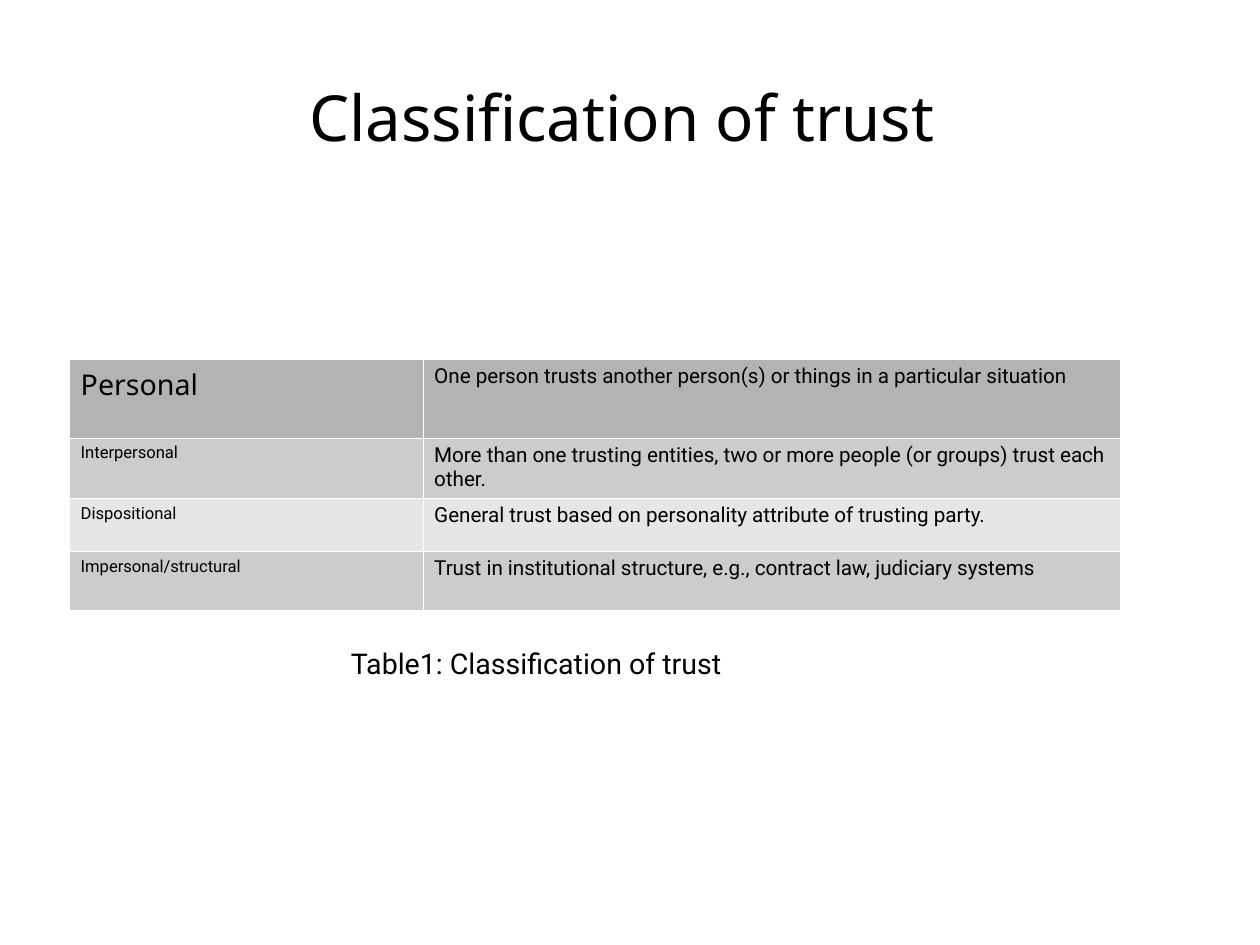
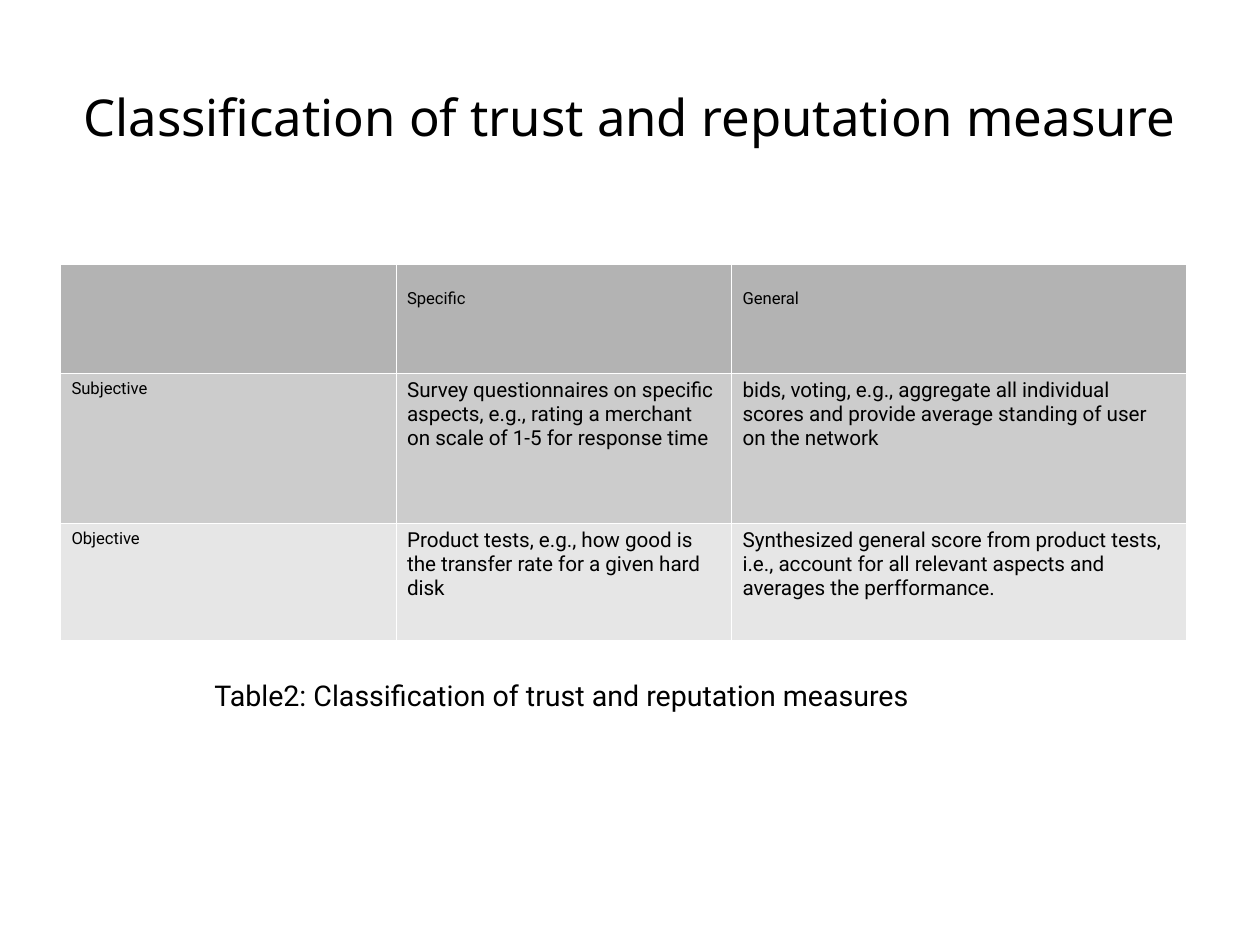
from dataclasses import dataclass

from lxml import etree
from pptx import Presentation
from pptx import util as u
from pptx.dml.color import RGBColor
from pptx.enum import text
from pptx.oxml import ns

BLACK = RGBColor(0x00, 0x00, 0x00)
WHITE = RGBColor(0xFF, 0xFF, 0xFF)
HEAD = RGBColor(0xB3, 0xB3, 0xB3)
BANDS = (RGBColor(0xCC, 0xCC, 0xCC), RGBColor(0xE6, 0xE6, 0xE6))
WIDTH = u.Cm(28)
HEIGHT = u.Cm(21)
BORDER = u.Pt(0.06)
PAD_X, PAD_Y, HEADING_PAD = u.Inches(0.1), u.Inches(0.05), u.Inches(0.22)
TITLE_ONLY = 5


@dataclass(frozen=True)
class Style:
    font: str
    size: float
    pad_top: int = PAD_Y


LEAD = Style("Noto Sans", 18)
LABEL = Style("Roboto", 10.5)
HEADING = Style("Roboto", 10.5, HEADING_PAD)
BODY = Style("Roboto", 13)
CAPTION = Style("Roboto", 18)


@dataclass(frozen=True)
class Box:
    left: float
    top: float
    width: float
    height: float

    def emu(self) -> tuple[int, int, int, int]:
        return across(self.left), down(self.top), across(self.width), down(self.height)


@dataclass(frozen=True)
class Row:
    height: float
    styles: tuple[Style, ...]
    texts: tuple[str, ...]


@dataclass(frozen=True)
class TableSlide:
    title: str
    title_size: float
    left: float
    top: float
    columns: tuple[float, ...]
    rows: tuple[Row, ...]
    caption: str
    caption_box: Box


TITLE_BOX = Box(5, 3.94, 90, 16.67)

SLIDES = (
    TableSlide(
        "Classification of trust ", 40, 5.5, 37.97, (28.06, 55.33),
        (
            Row(8.34, (LEAD, BODY), (
                "Personal",
                "One person trusts another person(s) or things in a particular situation")),
            Row(6.41, (LABEL, BODY), (
                "Interpersonal",
                "More than one trusting entities, two or more people (or groups) trust each other.")),
            Row(5.6, (LABEL, BODY), (
                "Dispositional",
                "General trust based on personality attribute of trusting party.")),
            Row(6.29, (LABEL, BODY), (
                "Impersonal/structural",
                "Trust in institutional structure, e.g., contract law, judiciary systems ")),
        ),
        "Table1: Classification of trust", Box(26.95, 67.71, 35.93, 4.23),
    ),
    TableSlide(
        "Classification of trust and reputation measure", 32, 4.77, 27.93, (26.63, 26.63, 36.08),
        (
            Row(11.56, (LABEL, HEADING, HEADING), ("", "Specific", "General")),
            Row(15.87, (LABEL, BODY, BODY), (
                "Subjective",
                "Survey questionnaires on specific aspects, e.g., rating a merchant on scale of 1-5 for response time",
                "bids, voting, e.g., aggregate all individual scores and provide average standing of user on the network")),
            Row(12.33, (LABEL, BODY, BODY), (
                "Objective",
                "Product tests, e.g., how good is the transfer rate for a given hard disk",
                "Synthesized general score from product tests, i.e., account for all relevant aspects and averages the perfformance.")),
        ),
        "Table2: Classification of trust and reputation measures", Box(16.12, 71.1, 62.25, 7.26),
    ),
)


def across(percent: float) -> int:
    return round(WIDTH * percent / 100)


def down(percent: float) -> int:
    return round(HEIGHT * percent / 100)


def write(tf, words: str, style: Style) -> None:
    p = tf.paragraphs[0]
    p.text = words
    p.font.name = style.font
    p.font.size = u.Pt(style.size)
    p.font.color.rgb = BLACK


def add_borders(cell) -> None:
    tc_pr = cell._tc.get_or_add_tcPr()
    for side in "LRTB":
        line = etree.SubElement(tc_pr, ns.qn(f"a:ln{side}"), w=str(int(BORDER)))
        fill = etree.SubElement(line, ns.qn("a:solidFill"))
        etree.SubElement(fill, ns.qn("a:srgbClr"), val=str(WHITE))


def format_cell(cell, words: str, style: Style, color: RGBColor) -> None:
    add_borders(cell)
    cell.fill.solid()
    cell.fill.fore_color.rgb = color
    cell.margin_left = cell.margin_right = PAD_X
    cell.margin_top, cell.margin_bottom = style.pad_top, PAD_Y
    write(cell.text_frame, words, style)


def add_title(s, words: str, size: float) -> None:
    sp = s.shapes.title
    sp.left, sp.top, sp.width, sp.height = TITLE_BOX.emu()
    tf = sp.text_frame
    tf.margin_left = tf.margin_right = tf.margin_top = tf.margin_bottom = 0
    tf.vertical_anchor = text.MSO_ANCHOR.MIDDLE
    tf.auto_size = text.MSO_AUTO_SIZE.NONE
    write(tf, words, Style("Noto Sans", size))
    tf.paragraphs[0].alignment = text.PP_ALIGN.CENTER


def add_grid(s, data: TableSlide) -> None:
    box = Box(data.left, data.top, sum(data.columns), sum(row.height for row in data.rows))
    table = s.shapes.add_table(len(data.rows), len(data.columns), *box.emu()).table
    table.first_row = table.horz_banding = False
    for column, width in zip(table.columns, data.columns):
        column.width = across(width)
    for i, row in enumerate(data.rows):
        table.rows[i].height = down(row.height)
        color = BANDS[(i - 1) % 2] if i else HEAD
        for j, (words, style) in enumerate(zip(row.texts, row.styles)):
            format_cell(table.cell(i, j), words, style, color)


def add_caption(s, words: str, box: Box) -> None:
    tf = s.shapes.add_textbox(*box.emu()).text_frame
    tf.word_wrap = True
    write(tf, words, CAPTION)


def main() -> None:
    prs = Presentation()
    prs.slide_width = WIDTH
    prs.slide_height = HEIGHT
    for data in SLIDES:
        s = prs.slides.add_slide(prs.slide_layouts[TITLE_ONLY])
        add_title(s, data.title, data.title_size)
        add_grid(s, data)
        add_caption(s, data.caption, data.caption_box)
    prs.save("out.pptx")


if __name__ == "__main__":
    main()
